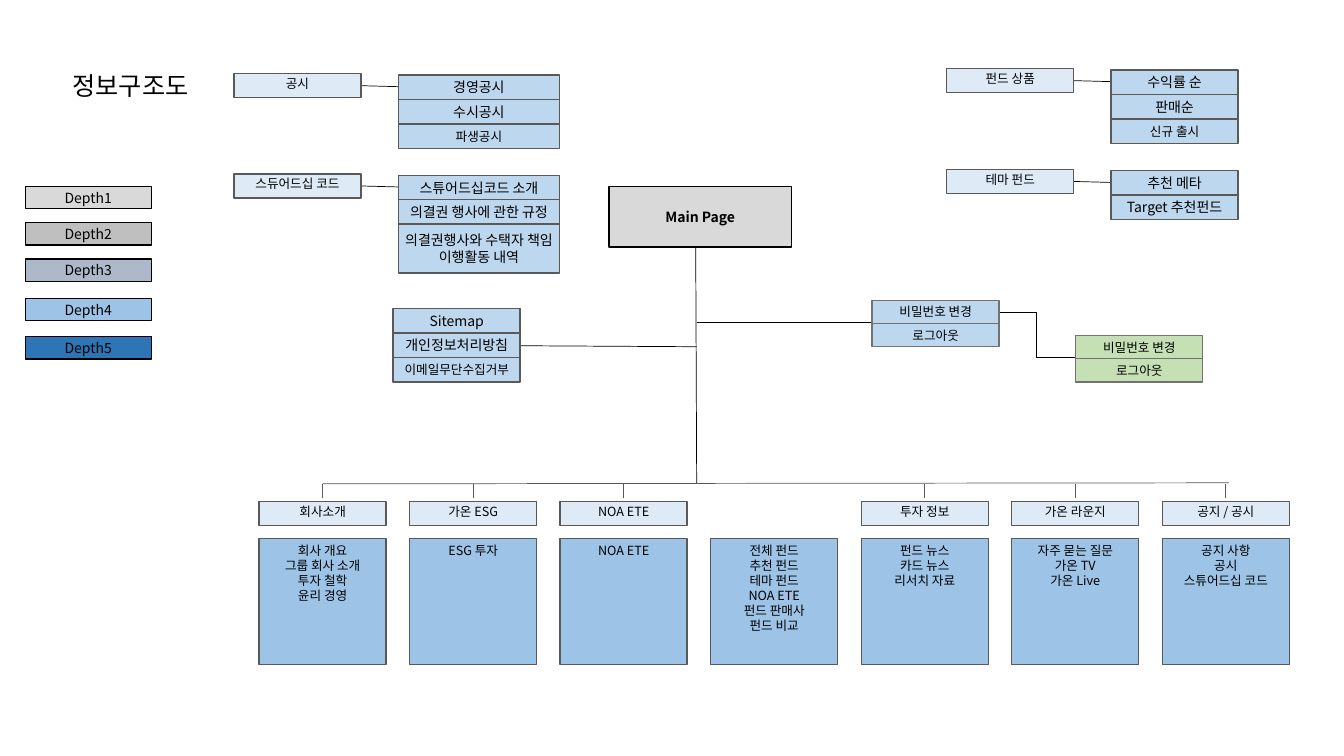
from lxml import etree
from pptx import Presentation
from pptx import util as u
from pptx.dml import color
from pptx.enum import shapes, text
from pptx.oxml import ns

FACE = "Noto Sans CJK KR"
SIDE, ROW = 12.6, 2.43
PALE, SOFT, DEEP, LEAF = "DEEBF7", "BDD7EE", "9DC3E6", "C5E0B4"
EDGE, GRAY, INK = "595959", "767171", "000000"


def hue(code):
    return color.RGBColor.from_string(code)


class Map:
    frame = dict(word_wrap=True, auto_size=text.MSO_AUTO_SIZE.NONE,
                 margin_left=0, margin_right=0, margin_top=0, margin_bottom=0)
    font = dict(name=FACE, bold=False)

    def __init__(self, deck, cols, rows):
        self.slide = deck.slides.add_slide(deck.slide_layouts[5])
        self.cell = deck.slide_width / cols, deck.slide_height / rows

    def at(self, *spots):
        return [u.Emu(round(s * self.cell[i % 2])) for i, s in enumerate(spots)]

    def put(self, goal, values):
        for key, value in values.items():
            setattr(goal, key, value)

    def label(self, shape, lines, size, bold=False, **frame):
        body = shape.text_frame
        self.put(body, self.frame | dict(vertical_anchor=text.MSO_ANCHOR.MIDDLE) | frame)
        for i, line in enumerate(lines):
            para = body.paragraphs[0] if i == 0 else body.add_paragraph()
            self.put(para, dict(alignment=text.PP_ALIGN.CENTER, line_spacing=u.Pt(size * 1.2)))
            run = para.add_run()
            run.text = line
            self.put(run.font, self.font | dict(size=u.Pt(size), bold=bold))
            run.font.color.rgb = hue(INK)
            mark = etree.SubElement(run.font._element, ns.qn("a:ea"))
            mark.set("typeface", FACE)

    def title(self, words, *spot):
        shape = self.slide.shapes.title
        self.put(shape, dict(zip(("left", "top", "width", "height"), self.at(*spot))))
        self.label(shape, [words], 18)

    def box(self, spot, fill, lines, size=9, edge=EDGE, bold=False, **frame):
        shape = self.slide.shapes.add_shape(shapes.MSO_SHAPE.RECTANGLE, *self.at(*spot))
        shape.shadow.inherit = False
        shape.fill.solid()
        shape.fill.fore_color.rgb = hue(fill)
        shape.line.color.rgb = hue(edge)
        shape.line.width = u.Pt(1)
        self.label(shape, lines, size, bold, **frame)

    def head(self, x, y, words):
        self.box((x, y, SIDE, 2.4), PALE, [words], margin_bottom=u.Inches(0.04))

    def stack(self, x, y, rows, wide=SIDE, fill=SOFT, edge=EDGE, high=ROW):
        for words, size, span in rows:
            self.box((x, y, wide, high * span), fill, [words], size, edge)
            y += high * span

    def line(self, *ends, ink=INK, wide=0.5):
        link = self.slide.shapes.add_connector(shapes.MSO_CONNECTOR.STRAIGHT, *self.at(*ends))
        link.line.color.rgb = hue(ink)
        link.line.width = u.Pt(wide)
        etree.SubElement(link._element.spPr, ns.qn("a:effectLst"))


deck = Presentation()
deck.slide_width, deck.slide_height = u.Inches(13.33), u.Inches(7.5)
site = Map(deck, 133.3, 75)

site.title("정보구조도", 3.7, 6.5, 18.5, 4)

legend = [(18.5, "D9D9D9"), (22.1, "BFBFBF"), (25.7, "ADB9CA"), (29.6, DEEP), (33.4, "2E75B6")]
for depth, (y, fill) in enumerate(legend, 1):
    site.box((2.5, y, 12.5, 2.2), fill, [f"Depth{depth}"], 10, INK)

topics = [
    (23.2, 7.3, "공시", 39.5, 16,
     [("경영공시", 10, 1), ("수시공시", 10, 1), ("파생공시", 9, 1)]),
    (23.2, 17.25, "스듀어드십 코드", 39.5, 16,
     [("스튜어드십코드 소개", 10, 1), ("의결권 행사에 관한 규정", 10, 1),
      ("의결권행사와 수택자 책임 이행활동 내역", 10, 2)]),
    (93.9, 6.8, "펀드 상품", 110.2, SIDE,
     [("수익률 순", 10, 1), ("판매순", 10, 1), ("신규 출시", 9, 1)]),
    (93.9, 16.8, "테마 펀드", 110.2, SIDE,
     [("추천 메타", 10, 1), ("Target 추천펀드", 10, 1)]),
]
for x, y, name, left, wide, rows in topics:
    site.line(x + SIDE, y + 1.2, left, y + 1.3)
    site.head(x, y, name)
    site.stack(left, y + 0.13, rows, wide)

for ends in [(69, 24.2, 69.1, 48), (51.7, 34.3, 69.1, 34.4), (69.1, 32, 86.5, 32),
             (99, 31, 102.8, 31), (102.8, 31, 102.8, 35.5), (102.8, 35.5, 106.7, 35.5)]:
    site.line(*ends)
site.box((60.4, 18.5, 18.1, 6), "D9D9D9", ["Main Page"], 10, INK, True)

site.stack(39, 30.6, [("Sitemap", 10, 1), ("개인정보처리방침", 10, 1), ("이메일무단수집거부", 9, 1)])
login = [("비밀번호 변경", 9, 1), ("로그아웃", 9, 1)]
for x, y, fill in [(86.5, 29.8, SOFT), (106.7, 33.3, LEAF)]:
    site.stack(x, y, login, fill=fill, edge=GRAY, high=2.3)

menus = [
    ("회사소개", ["회사 개요", "그룹 회사 소개", "투자 철학", "윤리 경영"]),
    ("가온 ESG", ["ESG 투자"]),
    ("NOA ETE", ["NOA ETE"]),
    (None, ["전체 펀드", "추천 펀드", "테마 펀드", "NOA ETE", "펀드 판매사", "펀드 비교"]),
    ("투자 정보", ["펀드 뉴스", "카드 뉴스", "리서치 자료"]),
    ("가온 라운지", ["자주 묻는 질문", "가온 TV", "가온 Live"]),
    ("공지 / 공시", ["공지 사항", "공시", "스튜어드십 코드"]),
]
site.line(32, 48, 121.9, 47.9, ink=EDGE)
for i, (name, items) in enumerate(menus):
    x = 25.7 + 14.93 * i
    if name:
        site.line(x + SIDE / 2, 48, x + SIDE / 2, 49.4, ink=EDGE, wide=0.75)
        site.head(x, 49.75, name)
    site.box((x, 53.45, SIDE, 12.5), DEEP, items,
             vertical_anchor=text.MSO_ANCHOR.TOP, margin_top=u.Inches(0.04))

deck.save("out.pptx")
